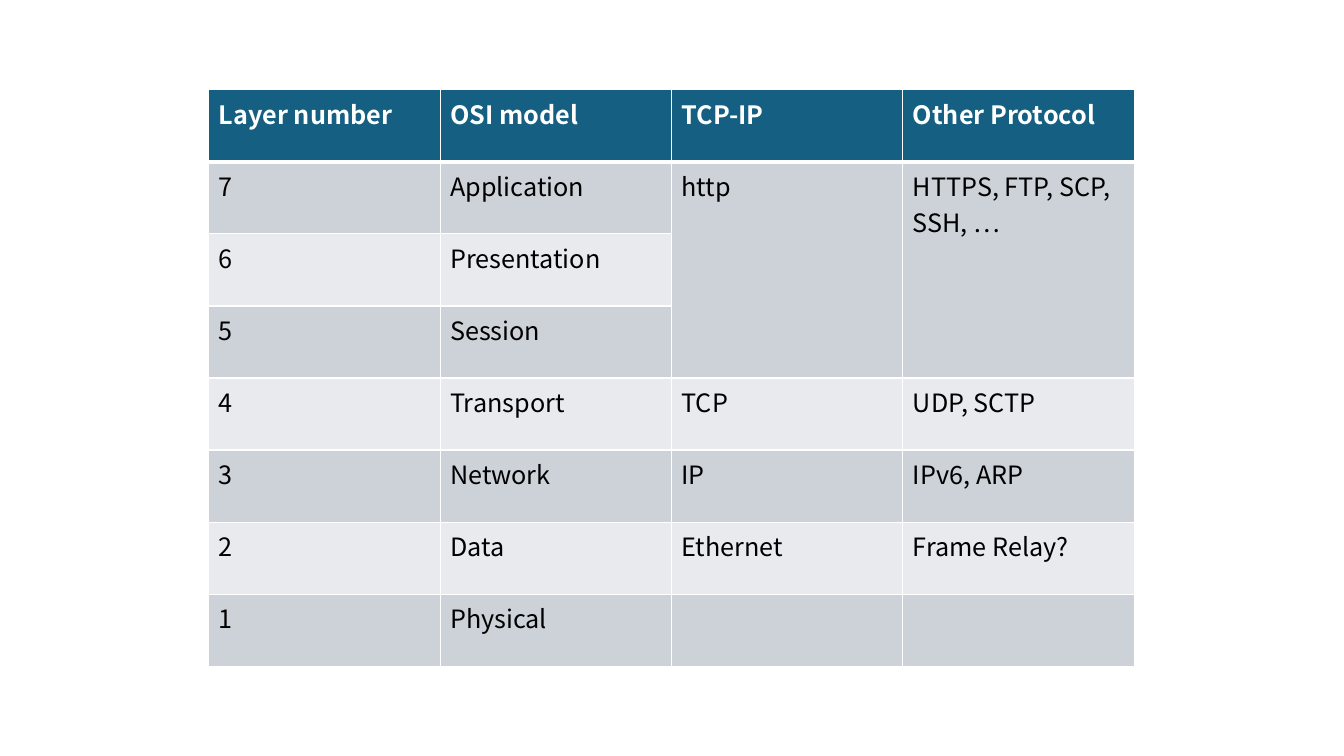
from lxml.etree import SubElement
from pptx import Presentation
from pptx.dml.color import RGBColor
from pptx.oxml.ns import qn
from pptx.util import Inches, Pt

COLORS = {
    "header": "156082",
    "dark band": "CCD2D8",
    "light band": "E8EAED",
    "border": "FFFFFF",
    "header text": "FFFFFF",
    "body text": "000000",
}
FONT = {"name": "Noto Sans CJK KR", "size": Pt(18)}
LEFT, TOP, WIDTH, HEIGHT = 2.07, 0.89, 9.18, 5.72

layers = [
    ("Layer number", "OSI model", "TCP-IP", "Other Protocol"),
    ("7", "Application", "http", "HTTPS, FTP, SCP, SSH, …"),
    ("6", "Presentation", "", ""),
    ("5", "Session", "", ""),
    ("4", "Transport", "TCP", "UDP, SCTP"),
    ("3", "Network", "IP", "IPv6, ARP"),
    ("2", "Data", "Ethernet", "Frame Relay?"),
    ("1", "Physical", "", ""),
]


def add_borders(cell, widths):
    """Draw the cell's border lines, which must precede its fill."""
    properties = cell._tc.get_or_add_tcPr()
    for position, (side, points) in enumerate(widths.items()):
        line = SubElement(properties, qn(f"a:ln{side}"), w=str(Pt(points)))
        fill = SubElement(line, qn("a:solidFill"))
        SubElement(fill, qn("a:srgbClr"), val=COLORS["border"])
        properties.insert(position, line)


presentation = Presentation()
presentation.slide_width = Inches(13.33)
presentation.slide_height = Inches(7.5)
slide = presentation.slides.add_slide(presentation.slide_layouts[6])

# Table grid with equal columns and rows
table = slide.shapes.add_table(
    len(layers), len(layers[0]),
    Inches(LEFT), Inches(TOP), Inches(WIDTH), Inches(HEIGHT),
).table

# Cell text, fill and borders
for row, texts in enumerate(layers):
    is_header = row == 0
    band = "header" if is_header else "dark band" if row % 2 else "light band"
    text_color = COLORS["header text" if is_header else "body text"]
    widths = {"L": 1, "R": 1, "T": 3 if row == 1 else 1, "B": 3 if is_header else 1}
    for column, text in enumerate(texts):
        cell = table.cell(row, column)
        cell.fill.solid()
        cell.fill.fore_color.rgb = RGBColor.from_string(COLORS[band])
        add_borders(cell, widths)
        if text:
            cell.text = text
            font = cell.text_frame.paragraphs[0].runs[0].font
            for attribute, value in {**FONT, "bold": is_header}.items():
                setattr(font, attribute, value)
            font.color.rgb = RGBColor.from_string(text_color)

# Protocols that span the top three layers
for column in (2, 3):
    table.cell(1, column).merge(table.cell(3, column))

presentation.save("out.pptx")
